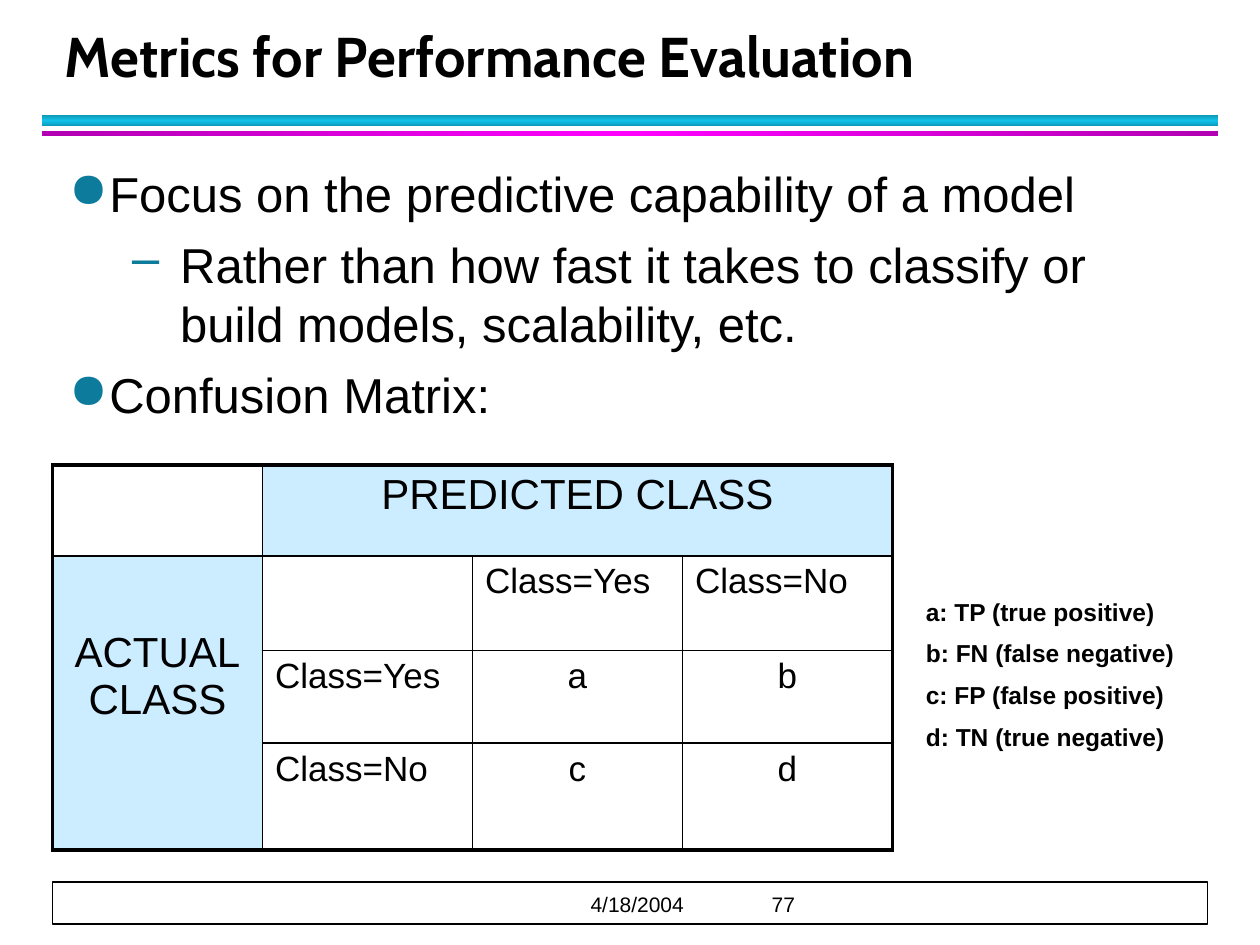
import pptx
import pptx.dml.color
import pptx.enum.shapes
import pptx.enum.text
import pptx.oxml
import pptx.util
from lxml import etree

Pt = pptx.util.Pt
ANCHOR = pptx.enum.text.MSO_ANCHOR
ALIGN = pptx.enum.text.PP_ALIGN
RECT = pptx.enum.shapes.MSO_SHAPE.RECTANGLE
NS = 'xmlns:a="http://schemas.openxmlformats.org/drawingml/2006/main"'


def rgb(value):
    return pptx.dml.color.RGBColor.from_string(value)


def write(tf, lines, font, **para):
    """Fill a text frame with one paragraph per line."""
    for i, line in enumerate(lines):
        p = tf.paragraphs[0] if i == 0 else tf.add_paragraph()
        p.text = line
        for key, value in para.items():
            if key != "space_before" or i:
                setattr(p, key, value)
        for r in p.runs:
            for key, value in font.items():
                setattr(r.font, key, value)
            r.font.color.rgb = rgb("000000")


prs = pptx.Presentation()
prs.slide_width, prs.slide_height = Pt(720), Pt(540)
s = prs.slides.add_slide(prs.slide_layouts[6])

# Gradient bars under the title: top, height, edge colour, middle colour, angle
bars = [(66, 6, "0E9BBA", "12C2E9", 90), (75, 3, "B200B2", "FF00FF", 0)]
for top, height, edge, middle, angle in bars:
    sp = s.shapes.add_shape(RECT, Pt(24), Pt(top), Pt(672), Pt(height))
    sp.shadow.inherit = False
    sp.line.fill.background()
    sp.fill.gradient()
    sp.fill.gradient_angle = angle
    stops = sp.fill._fill._gradFill.find("{*}gsLst")
    for stop in list(stops):
        stops.remove(stop)
    for pos, color in ((0, edge), (50000, middle), (100000, edge)):
        stops.append(pptx.oxml.parse_xml(
            f'<a:gs {NS} pos="{pos}"><a:srgbClr val="{color}"/></a:gs>'))

# Footer frame
sp = s.shapes.add_shape(RECT, Pt(30), Pt(504), Pt(660), Pt(24))
sp.shadow.inherit = False
sp.fill.solid()
sp.fill.fore_color.rgb = rgb("FFFFFF")
sp.line.color.rgb = rgb("000000")
sp.line.width = Pt(1)

# Text boxes: box, lines, font, paragraph format, frame format
no_margin = dict.fromkeys(
    ("margin_left", "margin_right", "margin_top", "margin_bottom"), 0)
texts = {
    "footer": ((30, 506, 659, 18), ["\t4/18/2004\t77"],
               dict(name="Arial", size=Pt(12)), {},
               dict(vertical_anchor=ANCHOR.BOTTOM, **no_margin)),
    "title": ((30, 12, 652, 42), ["Metrics for Performance Evaluation"],
              dict(name="Cabin", size=Pt(32), bold=True), {},
              dict(vertical_anchor=ANCHOR.BOTTOM)),
    "body": ((32.4, 90, 655, 408),
             ["Focus on the predictive capability of a model",
              "Rather than how fast it takes to classify or build models, "
              "scalability, etc.",
              "Confusion Matrix:"],
             dict(name="Arial", size=Pt(28)), dict(space_before=Pt(6.8)), {}),
    "legend": ((522, 337.5, 174, 99),
               ["a: TP (true positive)", "b: FN (false negative)",
                "c: FP (false positive)", "d: TN (true negative)"],
               dict(name="Arial", size=Pt(14), bold=True),
               dict(space_before=Pt(7)), {}),
}
frames = {}
for name, (box, lines, font, para, frame) in texts.items():
    tf = s.shapes.add_textbox(*map(Pt, box)).text_frame
    tf.word_wrap = True
    for key, value in frame.items():
        setattr(tf, key, value)
    write(tf, lines, font, **para)
    frames[name] = tf

# Footer tab stops
pPr = frames["footer"].paragraphs[0]._p.get_or_add_pPr()
tabs = "".join(f'<a:tab pos="{Pt(x)}" algn="l"/>' for x in (307.5, 411))
pPr.append(pptx.oxml.parse_xml(f"<a:tabLst {NS}>{tabs}</a:tabLst>"))

# Body bullets: level, left margin, hanging indent, character
bullets = [(0, 23, 23, "●"), (1, 63.5, 27.5, "–"), (0, 23, 23, "●")]
for p, (level, left, hang, char) in zip(frames["body"].paragraphs, bullets):
    p.level = level
    pPr = p._p.get_or_add_pPr()
    pPr.set("marL", str(Pt(left)))
    pPr.set("indent", str(-Pt(hang)))
    for xml in (f'<a:buClr {NS}><a:srgbClr val="0C7B9C"/></a:buClr>',
                f'<a:buChar {NS} char="{char}"/>'):
        pPr.append(pptx.oxml.parse_xml(xml))

# Confusion matrix
rows = [["", "PREDICTED CLASS", "", ""],
        ["ACTUAL\vCLASS", "", "Class=Yes", "Class=No"],
        ["", "Class=Yes", "a", "b"],
        ["", "Class=No", "c", "d"]]
heights = [52, 54, 53, 61]
headers = [(0, 1), (1, 0)]
tbl = s.shapes.add_table(4, 4, Pt(30), Pt(265.7), Pt(480),
                         Pt(sum(heights))).table
tbl.first_row = tbl.horz_banding = False
for col in tbl.columns:
    col.width = Pt(120)
for row, height in zip(tbl.rows, heights):
    row.height = Pt(height)
tbl.cell(0, 1).merge(tbl.cell(0, 3))
tbl.cell(1, 0).merge(tbl.cell(3, 0))

for i, row in enumerate(rows):
    for j, text in enumerate(row):
        cell = tbl.cell(i, j)
        # Thick outer frame, thin inner lines
        outer = {"L": j == 0, "R": j + cell.span_width == 4,
                 "T": i == 0, "B": i + cell.span_height == 4}
        tcPr = cell._tc.get_or_add_tcPr()
        for side, thick in outer.items():
            ln = etree.SubElement(tcPr, tcPr.tag.replace("tcPr", "ln" + side))
            ln.set("w", str(Pt(2.25 if thick else 1)))
            ln.append(pptx.oxml.parse_xml(
                f'<a:solidFill {NS}><a:srgbClr val="000000"/></a:solidFill>'))
        header = (i, j) in headers
        if header:
            cell.fill.solid()
            cell.fill.fore_color.rgb = rgb("CCECFF")
        else:
            cell.fill.background()
        if text:
            centred = header or len(text) == 1
            write(cell.text_frame, [text],
                  dict(name="Arial", size=Pt(24 if header else 20)),
                  alignment=ALIGN.CENTER if centred else ALIGN.LEFT)
tbl.cell(1, 0).margin_top = Pt(42)

prs.save("out.pptx")
